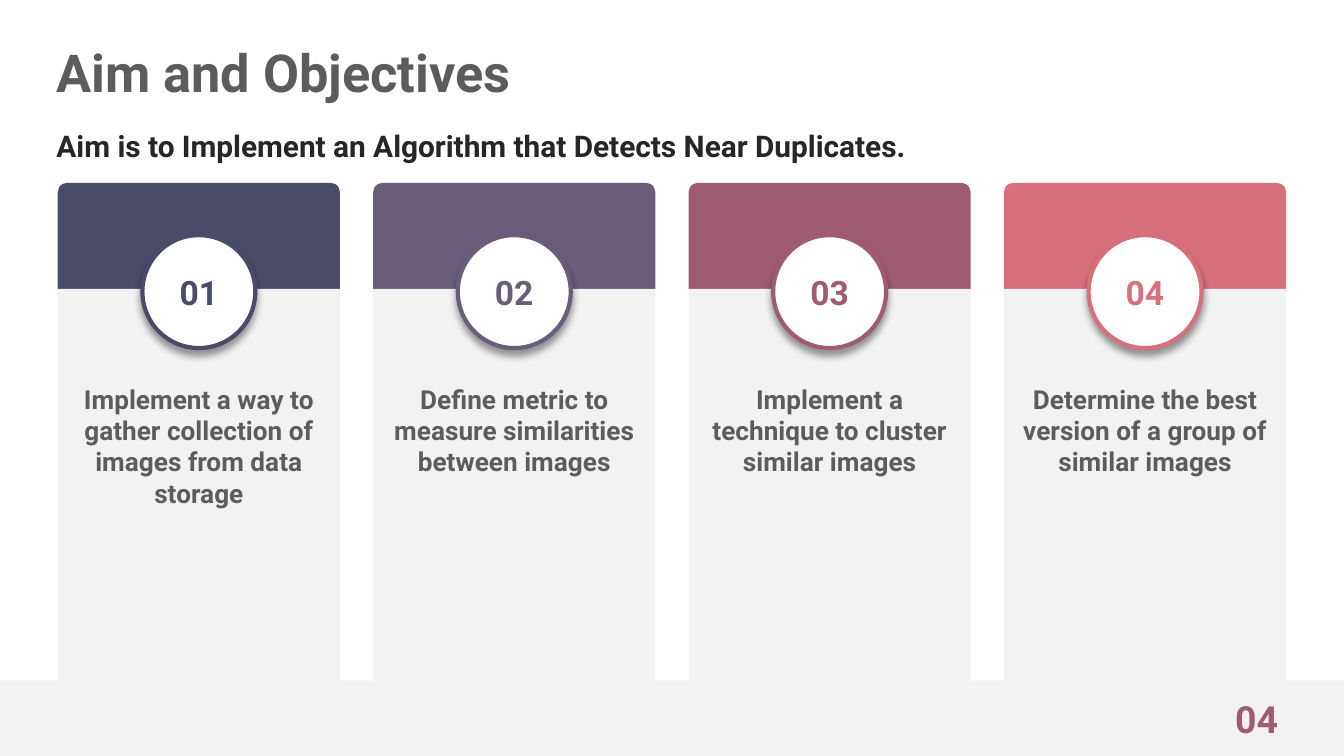
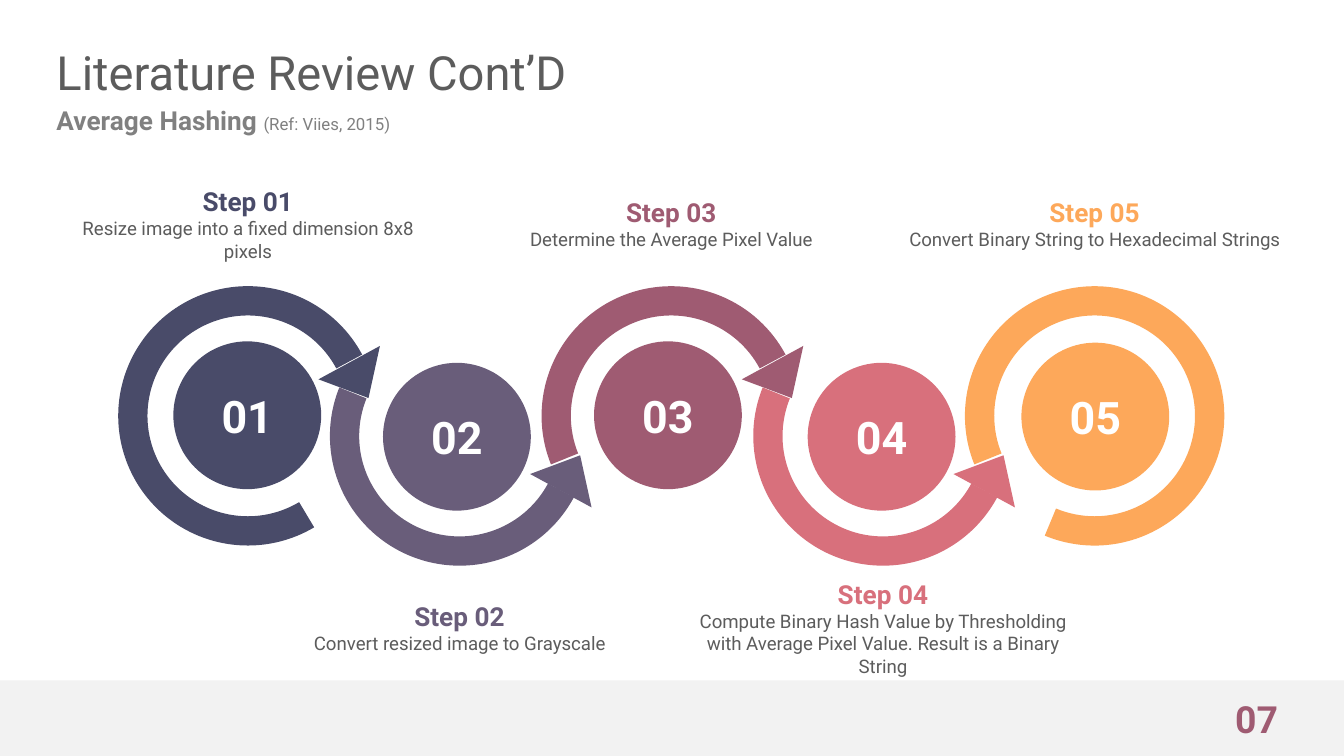
from lxml.etree import SubElement
from pptx import Presentation
from pptx.dml.color import RGBColor
from pptx.enum.shapes import MSO_SHAPE
from pptx.enum.text import MSO_ANCHOR, MSO_AUTO_SIZE, PP_ALIGN
from pptx.oxml.ns import qn
from pptx.util import Inches, Pt

# Shared look, on a 16:9 page
WIDTH = 10
HEIGHT = WIDTH * 9 / 16
MARGIN = 0.43
FONT = "Roboto"
NAVY = RGBColor(0x49, 0x4B, 0x69)
PURPLE = RGBColor(0x69, 0x5D, 0x7A)
PLUM = RGBColor(0x9F, 0x5B, 0x72)
CORAL = RGBColor(0xD8, 0x70, 0x7C)
ORANGE = RGBColor(0xFD, 0xA8, 0x5A)
PALETTE = [NAVY, PURPLE, PLUM, CORAL, ORANGE]
WHITE = RGBColor(0xFF, 0xFF, 0xFF)
BLACK = RGBColor(0x00, 0x00, 0x00)
PALE = RGBColor(0xF2, 0xF2, 0xF2)
INK = RGBColor(0x26, 0x26, 0x26)
TEXT = RGBColor(0x5C, 0x5C, 0x5C)
MUTED = RGBColor(0x80, 0x80, 0x80)

# Objective cards
OBJECTIVES = [
    "Implement a way to gather collection of images from data storage",
    "Define metric to measure similarities between images",
    "Implement a technique to cluster similar images",
    "Determine the best version of a group of similar images",
]
CARD_WIDTH, CARD_TOP, HEAD_HEIGHT, BODY_HEIGHT = 2.1, 1.36, 0.79, 3
CARD_PITCH = (WIDTH - 2 * MARGIN - CARD_WIDTH) / (len(OBJECTIVES) - 1)
BADGE = 0.84

# Hashing steps: description, label top, label height, disc left, disc top
STEPS = [
    ("Resize image into a fixed dimension 8x8 pixels", 1.38, 0.57, 1.29, 2.54),
    ("Convert resized image to Grayscale", 4.47, 0.4, 2.85, 2.7),
    ("Determine the Average Pixel Value", 1.46, 0.4, 4.42, 2.54),
    ("Compute Binary Hash Value by Thresholding with Average Pixel Value. "
     "Result is a Binary String", 4.3, 0.74, 6.01, 2.7),
    ("Convert Binary String to Hexadecimal Strings", 1.46, 0.4, 7.6, 2.55),
]
RING, RING_LEFT, RING_THICKNESS = 1.93, 0.88, 0.113
RING_PITCH = 6.3 / (len(STEPS) - 1)
LABEL_LEFT, LABEL_WIDTH = 0.43, 2.83
DISC = 1.1
ARROW_WIDTH, ARROW_HEIGHT, ARROW_SHIFT, ARROW_TURN = 0.52, 0.3, 1.53, 151.5
FREE_END, JOINED_START, ARROW_END, LAST_END = 59.27, 158.02, 331.8, 112.59


def add_figure(page, kind, left, top, width, height, fill):
    figure = page.shapes.add_shape(
        kind, Inches(left), Inches(top), Inches(width), Inches(height))
    figure.shadow.inherit = False
    figure.fill.solid()
    figure.fill.fore_color.rgb = fill
    figure.line.fill.background()
    return figure


def set_font(font, size, color, bold):
    font.name, font.size, font.bold = FONT, Pt(size), bold
    font.color.rgb = color


def write(shape, text, size, color, bold=True, align=PP_ALIGN.CENTER,
          anchor=MSO_ANCHOR.MIDDLE):
    frame = shape.text_frame
    frame.word_wrap = True
    frame.vertical_anchor = anchor
    para = frame.paragraphs[0]
    para.text = text
    para.alignment = align
    set_font(para.font, size, color, bold)
    return para


def add_text(page, left, top, width, height, text, size, color, bold=True,
             align=PP_ALIGN.LEFT):
    box = page.shapes.add_textbox(
        Inches(left), Inches(top), Inches(width), Inches(height))
    frame = box.text_frame
    frame.margin_left = frame.margin_right = 0
    frame.margin_top = frame.margin_bottom = 0
    frame.auto_size = MSO_AUTO_SIZE.NONE
    return write(box, text, size, color, bold, align)


def add_span(para, text, size, color):
    span = para.add_run()
    span.text = text
    set_font(span.font, size, color, False)


def add_title(page, text, size, bold):
    add_text(page, 0.42, 0.31, 9.15, 0.45, text, size, TEXT, bold)


def add_footer(page, number):
    add_figure(page, MSO_SHAPE.RECTANGLE, 0, HEIGHT * 0.9, WIDTH,
               HEIGHT * 0.1, PALE)
    add_text(page, 9.19, 5.18, 0.4, 0.34, number, 20, PLUM)


def add_soft_shadow(shape):
    effects = shape.element.spPr.find(qn("a:effectLst"))
    shadow = SubElement(effects, qn("a:outerShdw"), blurRad=str(Pt(4)),
                        dist=str(Pt(3)), dir="5400000", rotWithShape="0")
    color = SubElement(shadow, qn("a:srgbClr"), val=str(BLACK))
    SubElement(color, qn("a:alpha"), val="40000")


def flip_vertically(shape):
    shape.element.spPr.find(qn("a:xfrm")).set("flipV", "1")


def add_card(page, index, objective):
    left, color = MARGIN + index * CARD_PITCH, PALETTE[index]
    head = add_figure(page, MSO_SHAPE.ROUND_2_SAME_RECTANGLE, left, CARD_TOP,
                      CARD_WIDTH, HEAD_HEIGHT, color)
    head.adjustments[0] = 0.09
    body = add_figure(page, MSO_SHAPE.RECTANGLE, left, CARD_TOP + HEAD_HEIGHT,
                      CARD_WIDTH, BODY_HEIGHT, PALE)
    body.text_frame.margin_top = Inches(0.7)
    write(body, objective, 14, TEXT, anchor=MSO_ANCHOR.TOP)
    badge = add_figure(page, MSO_SHAPE.OVAL, left + (CARD_WIDTH - BADGE) / 2,
                       1.75, BADGE, BADGE, WHITE)
    badge.line.color.rgb = color
    badge.line.width = Pt(2.25)
    add_soft_shadow(badge)
    write(badge, f"{index + 1:02}", 18, color)


def add_ring(page, index):
    """Block arc with an arrowhead; every second one is upside down."""
    left, color = RING_LEFT + index * RING_PITCH, PALETTE[index]
    flipped, last = index % 2 == 1, index == len(STEPS) - 1
    ring = add_figure(page, MSO_SHAPE.BLOCK_ARC, left,
                      2.28 if flipped else 2.13, RING, RING, color)
    start = FREE_END if index == 0 else JOINED_START
    end = LAST_END if last else ARROW_END
    # An angle is stored in 60000ths of a degree, an adjustment in 100000ths
    ring.adjustments[0] = start * 0.6
    ring.adjustments[1] = end * 0.6
    ring.adjustments[2] = RING_THICKNESS
    if flipped:
        flip_vertically(ring)
    if last:
        return
    arrow = add_figure(page, MSO_SHAPE.ISOSCELES_TRIANGLE, left + ARROW_SHIFT,
                       3.37 if flipped else 2.68, ARROW_WIDTH, ARROW_HEIGHT,
                       color)
    arrow.rotation = 360 - ARROW_TURN if flipped else ARROW_TURN
    if flipped:
        flip_vertically(arrow)


def add_step(page, index, description, label_top, label_height, disc_left,
             disc_top):
    color, number = PALETTE[index], f"{index + 1:02}"
    disc = add_figure(page, MSO_SHAPE.OVAL, disc_left, disc_top, DISC, DISC,
                      color)
    write(disc, number, 24, WHITE)
    para = add_text(page, LABEL_LEFT + index * RING_PITCH, label_top,
                    LABEL_WIDTH, label_height, f"Step {number}", 14, color,
                    align=PP_ALIGN.CENTER)
    para.add_line_break()
    add_span(para, description, 10, TEXT)


def build_objectives(page):
    add_title(page, "Aim and Objectives", 28, True)
    add_text(page, 0.42, 0.8, 9.15, 0.56,
             "Aim is to Implement an Algorithm that Detects Near Duplicates.",
             16, INK)
    for index, objective in enumerate(OBJECTIVES):
        add_card(page, index, objective)
    add_footer(page, "04")


def build_hashing(page):
    add_title(page, "Literature Review Cont’D", 25.2, False)
    para = add_text(page, 0.42, 0.8, 9.15, 0.19, "Average Hashing ", 14, MUTED)
    add_span(para, "(Ref: Viies, 2015)", 9, MUTED)
    for index in range(len(STEPS)):
        add_ring(page, index)
    for index, step in enumerate(STEPS):
        add_step(page, index, *step)
    add_footer(page, "07")


def main():
    deck = Presentation()
    deck.slide_width, deck.slide_height = Inches(WIDTH), Inches(HEIGHT)
    blank = deck.slide_layouts[6]
    for build in (build_objectives, build_hashing):
        build(deck.slides.add_slide(blank))
    deck.save("out.pptx")


if __name__ == "__main__":
    main()
